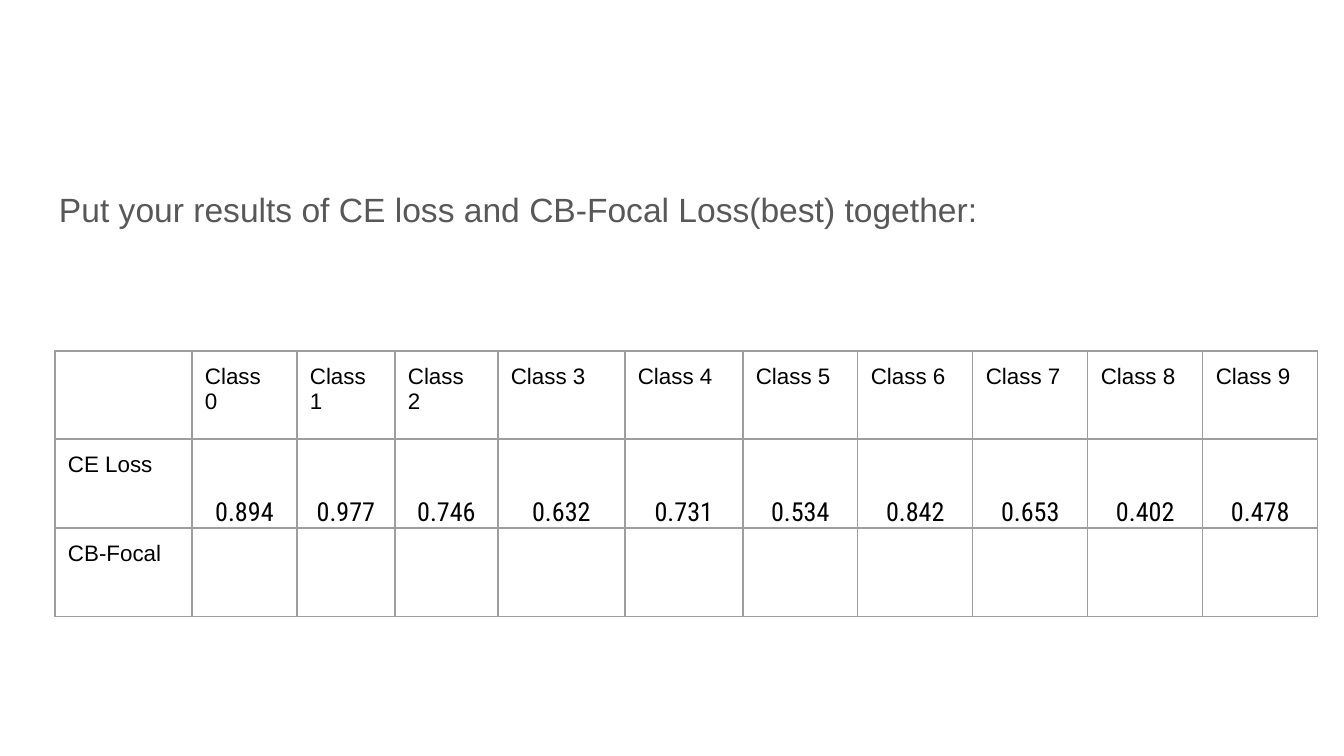
from lxml.etree import SubElement
from pptx import Presentation
from pptx.dml.color import RGBColor
from pptx.enum.text import MSO_ANCHOR, MSO_AUTO_SIZE, PP_ALIGN
from pptx.oxml.ns import qn
from pptx.util import Emu, Pt

EMU_PER_PX = 914400 / 134.4
HEADING_GRAY = RGBColor(0x58, 0x58, 0x58)
BORDER_GRAY = RGBColor(0x9E, 0x9E, 0x9E)
BLACK = RGBColor(0, 0, 0)

COLUMN_WIDTHS = [137, 105, 98, 103, 127, 118] + [115] * 5
ROW_HEIGHTS = [88, 89, 89]
# The three narrow columns break their label before the number
CLASS_LABELS = [f"Class{chr(11) if number < 3 else ' '}{number}" for number in range(10)]
ROWS = [
    [""] + CLASS_LABELS,
    ["CE Loss", "0.894", "0.977", "0.746", "0.632", "0.731",
     "0.534", "0.842", "0.653", "0.402", "0.478"],
    ["CB-Focal"] + [""] * 10,
]


def px(length):
    return Emu(round(length * EMU_PER_PX))


def set_margins(target, side, bottom):
    target.margin_left = target.margin_right = target.margin_top = px(side)
    target.margin_bottom = px(bottom)


def format_paragraph(paragraph, size, color, font_name="Arial", align=PP_ALIGN.LEFT):
    paragraph.alignment = align
    font = paragraph.font
    font.name, font.size, font.bold = font_name, Pt(size), False
    font.color.rgb = color


def add_heading(slide, left, top, width, height):
    title = slide.shapes.title
    title.left, title.top, title.width, title.height = map(px, (left, top, width, height))
    frame = title.text_frame
    frame.text = "Put your results of CE loss and CB-Focal Loss(best) together:"
    frame.word_wrap = True
    frame.auto_size = MSO_AUTO_SIZE.NONE
    frame.vertical_anchor = MSO_ANCHOR.TOP
    set_margins(frame, 13, 13)
    paragraph = frame.paragraphs[0]
    paragraph.line_spacing = 1.15
    format_paragraph(paragraph, 18, HEADING_GRAY)


def add_borders(cell):
    properties = cell._tc.get_or_add_tcPr()
    for index, tag in enumerate(("a:lnL", "a:lnR", "a:lnT", "a:lnB")):
        line = SubElement(properties, qn(tag), w=str(Pt(0.75)))
        fill = SubElement(line, qn("a:solidFill"))
        SubElement(fill, qn("a:srgbClr"), val=str(BORDER_GRAY))
        properties.insert(index, line)  # borders come before the cell fill


def add_results_table(slide, left, top):
    frame = slide.shapes.add_table(
        len(ROWS), len(COLUMN_WIDTHS), px(left), px(top),
        px(sum(COLUMN_WIDTHS)), px(sum(ROW_HEIGHTS)))
    table = frame.table
    table.first_row = table.horz_banding = False
    for column, width in zip(table.columns, COLUMN_WIDTHS):
        column.width = px(width)
    for row, height, texts in zip(table.rows, ROW_HEIGHTS, ROWS):
        row.height = px(height)
        for cell, text in zip(row.cells, texts):
            cell.text = text
            cell.fill.background()
            add_borders(cell)
            paragraph = cell.text_frame.paragraphs[0]
            if text.startswith("0."):  # scores sit at the bottom centre
                cell.vertical_anchor = MSO_ANCHOR.BOTTOM
                set_margins(cell, 1, 0)
                format_paragraph(paragraph, 14, BLACK, "Roboto Condensed", PP_ALIGN.CENTER)
            else:
                cell.vertical_anchor = MSO_ANCHOR.TOP
                set_margins(cell, 13, 13)
                format_paragraph(paragraph, 12, BLACK)


def main():
    presentation = Presentation()
    presentation.slide_width, presentation.slide_height = px(1344), px(756)
    slide = presentation.slides.add_slide(presentation.slide_layouts[5])
    add_heading(slide, 46, 170, 1252, 503)
    add_results_table(slide, 55, 351)
    presentation.save("out.pptx")


if __name__ == "__main__":
    main()
